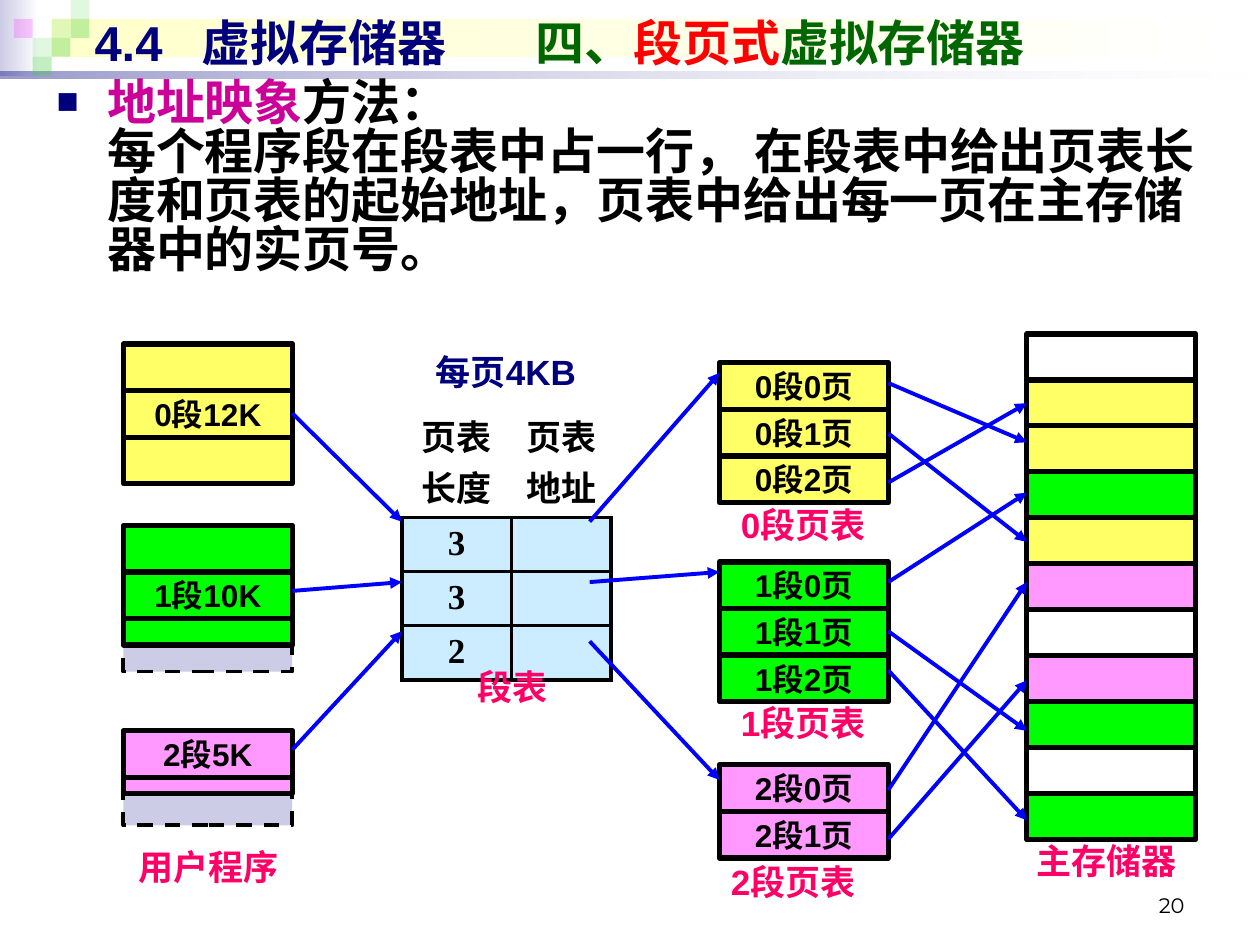
from lxml.etree import SubElement
from pptx import Presentation
from pptx.dml.color import RGBColor
from pptx.enum.dml import MSO_LINE
from pptx.enum.shapes import MSO_CONNECTOR, MSO_SHAPE
from pptx.enum.text import MSO_ANCHOR, MSO_AUTO_SIZE, PP_ALIGN
from pptx.oxml.ns import qn
from pptx.util import Inches, Pt

# Content
NAVY, BLACK, PINK, BLUE = "00007D", "000000", "FF0066", "0000FF"
YELLOW, GREEN, VIOLET, WHITE, LILAC = "FFFF66", "00FF00", "FF99FF", None, "CCCCE6"

TITLE = [("4.4\t虚拟存储器\t", NAVY), ("四、", "006600"), ("段页式", "FF0000"),
         ("虚拟存储器", "006600")]
BODY = [("地址映象", "CC0099"), ("方法：", BLACK),
        ("\v每个程序段在段表中占一行， 在段表中给出页表长度和页表的起始地址，"
         "页表中给出每一页在主存储器中的实页号。", BLACK)]

ROW, BOX_WIDTH = 0.37, 1.34
PROGRAM_X, PAGE_X, MEMORY_X = 0.98, 5.71, 8.15
# Stacks: left, top, [(text, colour, height)]
STACKS = [
    (PROGRAM_X, 2.73, [("", YELLOW, ROW), ("0段12K", YELLOW, ROW), ("", YELLOW, ROW)]),
    (PROGRAM_X, 4.17, [("", GREEN, ROW), ("1段10K", GREEN, ROW), ("", GREEN, 0.21),
                       ("", LILAC, 0.21)]),
    (PROGRAM_X, 5.8, [("2段5K", VIOLET, ROW), ("", VIOLET, 0.13), ("", LILAC, 0.25)]),
    (MEMORY_X, 2.65, [("", colour, 0.365) for colour in
                      (WHITE, YELLOW, YELLOW, GREEN, YELLOW, VIOLET, WHITE,
                       VIOLET, GREEN, WHITE, GREEN)]),
]
for segment, (top, colour, pages) in enumerate(
        [(2.88, YELLOW, 3), (4.46, GREEN, 3), (6.07, VIOLET, 2)]):
    STACKS.append((PAGE_X, top, [(f"{segment}段{page}页", colour, ROW)
                                 for page in range(pages)]))

SEGMENT_TABLE = [("页表\n长度", "页表\n地址"), ("3", ""), ("3", ""), ("2", "")]
TABLE_X, TABLE_Y, TABLE_COLUMNS, TABLE_ROWS = 3.19, 3.2, (0.87, 0.79), (0.77, 0.43, 0.43, 0.43)

# Arrows: start x, end x, [(start y, end y)]
ARROWS = [
    (PROGRAM_X + BOX_WIDTH, TABLE_X, [(3.28, 4.14), (4.69, 4.62), (5.95, 5.01)]),
    (4.68, PAGE_X, [(4.14, 2.96), (4.62, 4.54), (5.09, 6.19)]),
    (PAGE_X + BOX_WIDTH, MEMORY_X,
     [(3.04, 3.51), (3.44, 4.3), (3.83, 3.2), (4.62, 3.91), (5.01, 5.8),
      (5.32, 6.51), (6.27, 4.62), (6.66, 5.4)]),
]
CAPTIONS = [("用户程序", 0.67, 6.66, PINK), ("段表", 3.08, 5.23, PINK),
            ("0段页表", 5.39, 3.95, PINK), ("1段页表", 5.39, 5.52, PINK),
            ("2段页表", 5.31, 6.78, PINK), ("主存储器", 7.8, 6.61, PINK),
            ("每页4KB", 3.03, 2.73, NAVY)]

# Decoration: squares on a grid (column, row, colour, opacity)
SQUARE = 0.15
SQUARES = [(2, 1, "33CC33", 15), (3, 0, "33CC33", 15), (3, 1, "33CC33", 30),
           (1, 2, "33CC33", 15), (0, 1, "FF00FF", 20), (2, 2, "33CC33", 30),
           (1, 3, "33CC33", 30)]
GRADIENTS = [((0, 0, 0.31, 0.6), ("CCCCE6", 100), ("FFFFFF", 100)),
             ((0.41, 0.15, 9.55, 0.3), ("FFFFCC", 100), ("FFFFFF", 100)),
             ((0, 0.57, 10, 0.05), (NAVY, 40), ("FFFFFF", 10))]

presentation = Presentation()
presentation.slide_width, presentation.slide_height = Inches(10), Inches(7.5)
slide = presentation.slides.add_slide(presentation.slide_layouts[1])
shapes = slide.shapes


# Helpers
def rgb(colour):
    return RGBColor.from_string(colour)


def inches(*lengths):
    return [Inches(length) for length in lengths]


def set_opacity(element, percent):
    if percent < 100:
        SubElement(element.find(".//" + qn("a:srgbClr")), qn("a:alpha"), val=str(percent * 1000))


def add_run(paragraph, text, size, colour, font="Arial", bold=True):
    run = paragraph.add_run()
    run.text = text
    run.font.size, run.font.name, run.font.bold = Pt(size), font, bold
    run.font.color.rgb = rgb(colour)


def add_rectangle(left, top, width, height, colour=None):
    shape = shapes.add_shape(MSO_SHAPE.RECTANGLE, *inches(left, top, width, height))
    shape.shadow.inherit = False
    shape.line.fill.background()
    if colour:
        shape.fill.solid()
        shape.fill.fore_color.rgb = rgb(colour)
    else:
        shape.fill.background()
    return shape


def add_label(text, box, size, colour, align, font="Arial", bold=True, anchor=MSO_ANCHOR.TOP):
    frame = shapes.add_textbox(*inches(*box)).text_frame
    frame.word_wrap, frame.vertical_anchor = True, anchor
    frame.paragraphs[0].alignment = align
    add_run(frame.paragraphs[0], text, size, colour, font, bold)


def place(placeholder, box, anchor):
    placeholder.left, placeholder.top, placeholder.width, placeholder.height = inches(*box)
    frame = placeholder.text_frame
    frame.word_wrap, frame.auto_size, frame.vertical_anchor = True, MSO_AUTO_SIZE.NONE, anchor
    paragraph = frame.paragraphs[0]
    paragraph.alignment = PP_ALIGN.LEFT
    shapes._spTree.append(placeholder._element)
    return paragraph


# Header decoration
for box, *stops in GRADIENTS:
    band = add_rectangle(*box)
    band.fill.gradient()
    band.fill.gradient_angle = 0
    for stop, position, (colour, opacity) in zip(band.fill.gradient_stops, (0, 1), stops):
        stop.position, stop.color.rgb = position, rgb(colour)
        set_opacity(stop._gs, opacity)
for column, row, colour, opacity in SQUARES:
    square = add_rectangle(0.11 + column * SQUARE, row * SQUARE, SQUARE, SQUARE, colour)
    set_opacity(square._element.spPr, opacity)

# Title and body
title = place(shapes.title, (0.65, 0.05, 9, 0.57), MSO_ANCHOR.MIDDLE)
tabs = SubElement(title._p.get_or_add_pPr(), qn("a:tabLst"))
for position in (0.85, 3.5):
    SubElement(tabs, qn("a:tab"), pos=str(Inches(position)), algn="l")
for text, colour in TITLE:
    add_run(title, text, 28, colour)

body = place(slide.placeholders[1], (0.35, 0.6, 9.45, 2.05), MSO_ANCHOR.TOP)
body.line_spacing = 0.83
properties = body._p.get_or_add_pPr()
properties.set("marL", str(Inches(0.4)))
properties.set("indent", str(Inches(-0.4)))
SubElement(SubElement(properties, qn("a:buClr")), qn("a:srgbClr"), val=NAVY)
SubElement(properties, qn("a:buSzPct"), val="75000")
SubElement(properties, qn("a:buFont"), typeface="Arial")
SubElement(properties, qn("a:buChar"), char="■")
for text, colour in BODY:
    if text.startswith("\v"):
        body.add_line_break()
    add_run(body, text.lstrip("\v"), 28, colour, "Times New Roman")

# Program segments, page tables and main memory
for left, top, cells in STACKS:
    bottom = top + sum(height for *_, height in cells)
    for text, colour, height in reversed(cells):
        bottom -= height
        cell = add_rectangle(left, bottom, BOX_WIDTH, height, colour)
        cell.line.color.rgb = rgb(BLACK)
        cell.line.width = Pt(3)
        if colour == LILAC:
            cell.line.width, cell.line.dash_style = Pt(2.25), MSO_LINE.DASH
        if text:
            cell.text_frame.word_wrap = False
            cell.text_frame.vertical_anchor = MSO_ANCHOR.MIDDLE
            cell.text_frame.paragraphs[0].alignment = PP_ALIGN.CENTER
            add_run(cell.text_frame.paragraphs[0], text, 18, BLACK)

# Segment table
table = shapes.add_table(len(TABLE_ROWS), len(TABLE_COLUMNS), *inches(
    TABLE_X, TABLE_Y, sum(TABLE_COLUMNS), sum(TABLE_ROWS))).table
table.first_row = table.horz_banding = False
for column, width in zip(table.columns, TABLE_COLUMNS):
    column.width = Inches(width)
for r, (height, texts) in enumerate(zip(TABLE_ROWS, SEGMENT_TABLE)):
    table.rows[r].height = Inches(height)
    for c, text in enumerate(texts):
        cell = table.cell(r, c)
        for side in ("lnL", "lnR", "lnT", "lnB"):
            border = SubElement(cell._tc.get_or_add_tcPr(), qn("a:" + side), w=str(Pt(2.25)))
            if r or side == "lnB":
                SubElement(SubElement(border, qn("a:solidFill")), qn("a:srgbClr"), val=BLACK)
            else:
                SubElement(border, qn("a:noFill"))
        if r:
            cell.fill.solid()
            cell.fill.fore_color.rgb = rgb("CCECFF")
        else:
            cell.fill.background()
        for i, line in enumerate(text.split("\n") if text else []):
            frame = cell.text_frame
            paragraph = frame.add_paragraph() if i else frame.paragraphs[0]
            paragraph.alignment = PP_ALIGN.CENTER
            add_run(paragraph, line, 20, BLACK, "Times New Roman")

# Mapping arrows
for start_x, end_x, heights in ARROWS:
    for start_y, end_y in heights:
        arrow = shapes.add_connector(MSO_CONNECTOR.STRAIGHT,
                                     *inches(start_x, start_y, end_x, end_y))
        arrow.line.color.rgb, arrow.line.width = rgb(BLUE), Pt(2.25)
        SubElement(arrow.line._get_or_add_ln(), qn("a:tailEnd"), type="triangle")
        SubElement(arrow._element.spPr, qn("a:effectLst"))

# Captions and page number
for text, left, top, colour in CAPTIONS:
    add_label(text, (left, top, 1.97, 0.43), 20, colour, PP_ALIGN.CENTER)
add_label("20", (7.17, 6.83, 2.33, 0.5), 12, BLACK, PP_ALIGN.RIGHT, "Montserrat", False,
          MSO_ANCHOR.BOTTOM)

presentation.save("out.pptx")
